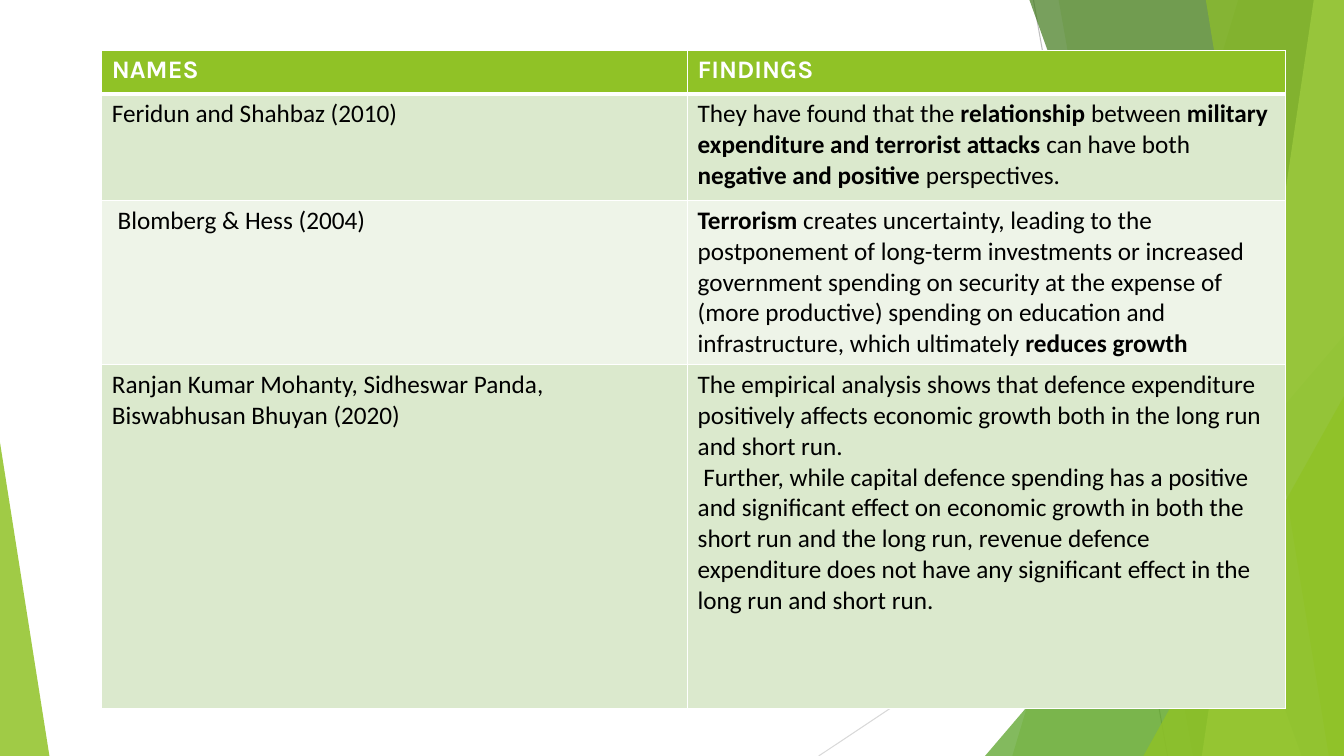
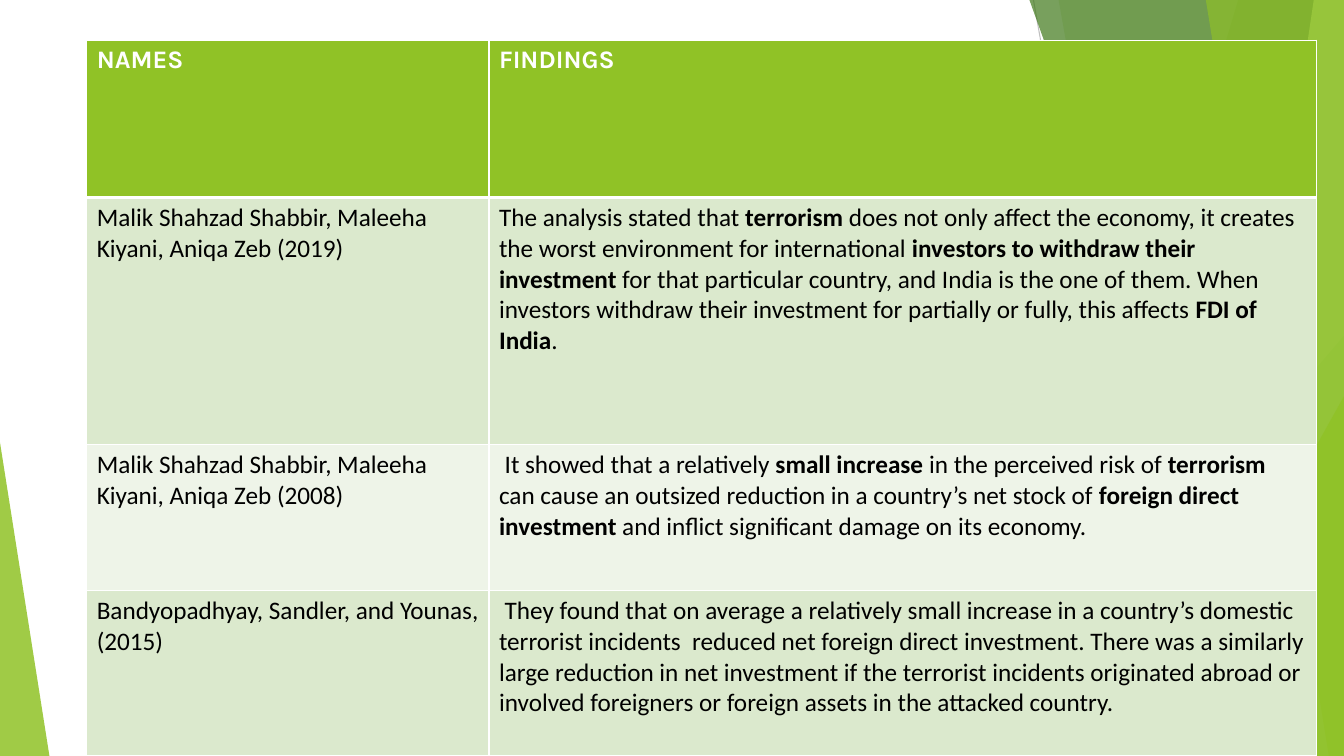
"""Build two literature review slides: tables of names and findings on a green faceted background."""
import lxml.etree
import pptx
import pptx.dml.color
import pptx.enum.shapes
import pptx.oxml
import pptx.oxml.ns
import pptx.util

Inches = pptx.util.Inches
Pt = pptx.util.Pt
qn = pptx.oxml.ns.qn

WIDTH, HEIGHT = 13.33, 7.5
GREEN, WHITE, BLACK = "90C226", "FFFFFF", "000000"
ROW_TINTS = ["DBE9CD", "EEF4E8"]
HEADINGS = ["NAMES", "FINDINGS"]

hairlines = [
    (10.25, 0, 11.58, HEIGHT, "BFBFBF"),
    (WIDTH, 4.03, 8.12, HEIGHT, "D9D9D9"),
]
# kind, geometry, colour, opacity in percent
facets = [
    ("band", (12.28, 10.04), GREEN, 30),
    ("band", (10.5, 11.83), GREEN, 20),
    ("triangle", (9.77, 3.33, WIDTH, 1), "54A021", 72),
    ("band", (10.21, 12.91), "3F7819", 70),
    ("band", (13.03, 11.92), "C0E474", 70),
    ("band", (11.96, 13.18), GREEN, 65),
    ("triangle", (11.34, 3.93, WIDTH, 1), GREEN, 80),
    ("triangle", (0, 4.39, 0.49, 0), GREEN, 85),
]

reviews = [
    {
        "left": 1.01, "top": 0.5,
        "columns": [5.81, 5.93],
        "rows": [0.43, 1.06, 1.63, 3.41],
        "studies": [
            ("Feridun and Shahbaz (2010)",
             ["They have found that the **relationship** between **military expenditure and "
              "terrorist attacks** can have both **negative and positive **perspectives."]),
            (" Blomberg & Hess (2004)",
             ["**Terrorism **creates uncertainty, leading to the postponement of long-term "
              "investments or increased government spending on security at the expense of "
              "(more productive) spending on education and infrastructure, which ultimately "
              "**reduces growth**"]),
            ("Ranjan Kumar Mohanty, Sidheswar Panda, Biswabhusan Bhuyan (2020)",
             ["The empirical analysis shows that defence expenditure positively affects "
              "economic growth both in the long run and short run.",
              " Further, while capital defence spending has a positive and significant effect "
              "on economic growth in both the short run and the long run, revenue defence "
              "expenditure does not have any significant effect in the long run and short run."]),
        ],
    },
    {
        "left": 0.86, "top": 0.4,
        "columns": [3.99, 8.21],
        "rows": [1.56, 2.45, 1.45, 1.64],
        "studies": [
            ("Malik Shahzad Shabbir, Maleeha Kiyani, Aniqa Zeb (2019)",
             ["The analysis stated that **terrorism** does not only affect the economy, it "
              "creates the worst environment for international **investors to withdraw their "
              "investment **for that particular country, and India is the one of them. When "
              "investors withdraw their investment for partially or fully, this affects "
              "**FDI of India**."]),
            ("Malik Shahzad Shabbir, Maleeha Kiyani, Aniqa Zeb (2008)",
             [" It showed that a relatively **small increase **in the perceived risk of"
              "** terrorism **can cause an outsized reduction in a country’s net stock of"
              "** foreign direct investment **and inflict significant damage on its economy."]),
            ("Bandyopadhyay, Sandler, and Younas, (2015)",
             [" They found that on average a relatively small increase in a country’s domestic "
              "terrorist incidents  reduced net foreign direct investment. There was a similarly "
              "large reduction in net investment if the terrorist incidents originated abroad or "
              "involved foreigners or foreign assets in the attacked country."]),
        ],
    },
]


def paint(fill, colour, opacity=100):
    fill.solid()
    fill.fore_color.rgb = pptx.dml.color.RGBColor.from_string(colour)
    if opacity < 100:
        tint = fill._xPr.find(".//" + qn("a:srgbClr"))
        lxml.etree.SubElement(tint, qn("a:alpha")).set("val", str(opacity * 1000))


def write_cell(cell, paragraphs, row):
    heading = row == 0
    paint(cell.fill, GREEN if heading else ROW_TINTS[(row - 1) % 2])
    thick_side = {0: "lnB", 1: "lnT"}.get(row)
    properties = cell._tc.get_or_add_tcPr()
    for place, side in enumerate(["lnL", "lnR", "lnT", "lnB"]):
        border = lxml.etree.Element(qn("a:" + side))
        border.set("w", str(Pt(3 if side == thick_side else 1)))
        border_fill = lxml.etree.SubElement(border, qn("a:solidFill"))
        lxml.etree.SubElement(border_fill, qn("a:srgbClr")).set("val", WHITE)
        properties.insert(place, border)
    for number, text in enumerate(paragraphs):
        frame = cell.text_frame
        paragraph = frame.add_paragraph() if number else frame.paragraphs[0]
        for piece, words in enumerate(text.split("**")):
            if words:
                run = paragraph.add_run()
                run.text = words
                run.font.size = Pt(18)
                run.font.name = "Karla" if heading else "Calibri"
                run.font.bold = heading or piece % 2 == 1
                paint(run.font.fill, WHITE if heading else BLACK)


deck = pptx.Presentation()
deck.slide_width = Inches(WIDTH)
deck.slide_height = Inches(HEIGHT)

for review in reviews:
    slide = deck.slides.add_slide(deck.slide_layouts[6])
    paint(slide.background.fill, WHITE)

    for x1, y1, x2, y2, colour in hairlines:
        hairline = slide.shapes.add_connector(
            pptx.enum.shapes.MSO_CONNECTOR.STRAIGHT,
            Inches(x1), Inches(y1), Inches(x2), Inches(y2))
        hairline.line.width = Pt(0.75)
        paint(hairline.line.fill, colour)
        lxml.etree.SubElement(hairline._element.spPr, qn("a:effectLst"))

    for kind, geometry, colour, opacity in facets:
        if kind == "band":
            top_x, bottom_x = geometry
            outline = slide.shapes.build_freeform(Inches(top_x), 0)
            outline.add_line_segments([
                (Inches(WIDTH), 0),
                (Inches(WIDTH), Inches(HEIGHT)),
                (Inches(bottom_x), Inches(HEIGHT)),
            ], close=True)
            facet = outline.convert_to_shape()
        else:
            left, top, right, apex = geometry
            facet = slide.shapes.add_shape(
                pptx.enum.shapes.MSO_SHAPE.ISOSCELES_TRIANGLE,
                Inches(left), Inches(top), Inches(right - left), Inches(HEIGHT - top))
            facet.adjustments[0] = apex
        facet.shadow.inherit = False
        facet.line.fill.background()
        paint(facet.fill, colour, opacity)

    columns, rows = review["columns"], review["rows"]
    findings = slide.shapes.add_table(
        len(rows), len(columns), Inches(review["left"]), Inches(review["top"]),
        Inches(sum(columns)), Inches(sum(rows))).table
    for column, width in zip(findings.columns, columns):
        column.width = Inches(width)
    for row, height in zip(findings.rows, rows):
        row.height = Inches(height)
    for column, heading in enumerate(HEADINGS):
        write_cell(findings.cell(0, column), [heading], 0)
    for row, (names, finding) in enumerate(review["studies"], 1):
        write_cell(findings.cell(row, 0), [names], row)
        write_cell(findings.cell(row, 1), finding, row)

deck.save("out.pptx")
